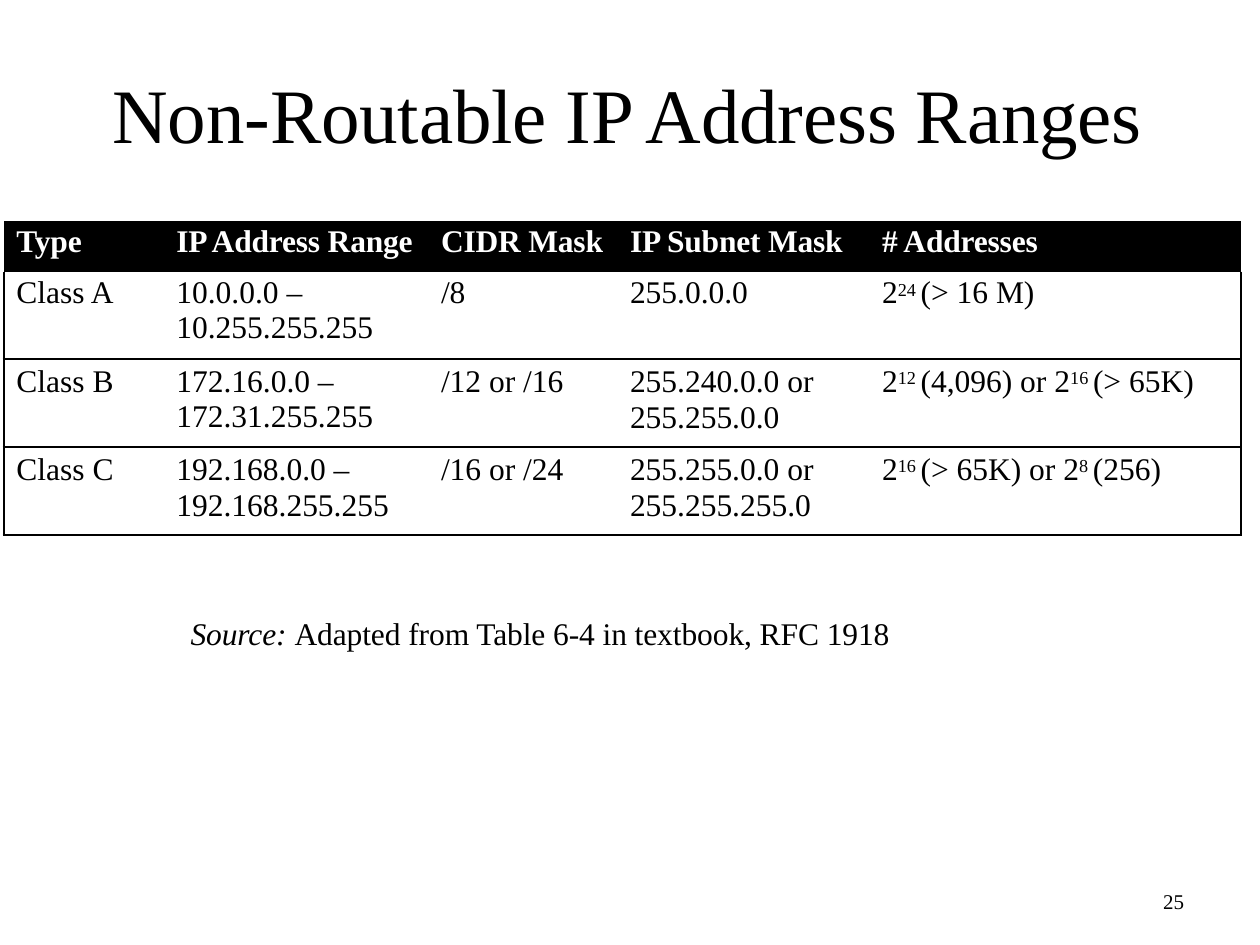
from dataclasses import dataclass

from lxml.etree import SubElement
from pptx import Presentation
from pptx.dml.color import RGBColor
from pptx.oxml.ns import qn
from pptx.util import Pt

INK = {"black": "000000", "white": "FFFFFF"}
FONT = "Times New Roman"
PLAIN = "{2D5ABB26-0587-4C30-8999-92F81FD0307C}"


@dataclass
class Label:
    text: str
    left: float
    top: float
    width: float
    height: float
    size: float
    track: int = 0


@dataclass
class Column:
    width: float
    indent: float


@dataclass
class Row:
    height: float
    pad: float
    lead: float
    cells: tuple[str, ...]


LABELS = (
    Label("Non-Routable IP Address Ranges", 63.4, 37.4, 593.3, 54.7, 44, -10),
    Label("25", 663.8, 506.9, 13.7, 16.6, 12),
    Label("_Source: |Adapted from Table 6-4 in textbook, RFC 1918",
          108, 349.9, 403.2, 23.8, 18, -5),
)
COLUMNS = (
    Column(80.6, 7.2),
    Column(162, 18),
    Column(108, 7.2),
    Column(140.4, 7.2),
    Column(216, 10.8),
)
ROWS = (
    Row(29.2, 2.2, 2.5, ("Type", "IP Address Range", "CIDR Mask",
                         "IP Subnet Mask", "# Addresses")),
    Row(50, 2.2, 2, ("Class A", "10.0.0.0 – 10.255.255.255", "/8",
                     "255.0.0.0", "2|^24 |(> 16 M)")),
    Row(50.3, 2.9, 2.5, ("Class B", "172.16.0.0 – 172.31.255.255",
                         "/12 or /16", "255.240.0.0 or\n255.255.0.0",
                         "2|^12 |(4,096) or 2|^16 |(> 65K)")),
    Row(50.3, 2.9, 2.5, ("Class C", "192.168.0.0 –\n192.168.255.255",
                         "/16 or /24", "255.255.0.0 or\n255.255.255.0",
                         "2|^16 |(> 65K) or 2|^8 |(256)")),
)


def write(frame, text: str, size: float, lead: float, color: str = "black",
          bold: bool = False, track: int = 0) -> None:
    for num, line in enumerate(text.split("\n")):
        para = frame.add_paragraph() if num else frame.paragraphs[0]
        para.space_before = Pt(0.5 if num else lead)
        for part in line.split("|"):
            run = para.add_run()
            run.text = part.lstrip("^_")
            font = run.font
            font.name = FONT
            font.size = Pt(size)
            font.bold = bold
            font.italic = part.startswith("_")
            font.color.rgb = RGBColor.from_string(INK[color])
            props = run._r.get_or_add_rPr()
            props.set("spc", str(track))
            if part.startswith("^"):
                props.set("baseline", "23000")


def border(cell, sides: str) -> None:
    props = cell._tc.get_or_add_tcPr()
    for side in sides:
        line = SubElement(props, qn(f"a:ln{side}"), w=str(Pt(1.5)))
        fill = SubElement(line, qn("a:solidFill"))
        SubElement(fill, qn("a:srgbClr"), val=INK["black"])


def draw_label(slide, item: Label) -> None:
    box = slide.shapes.add_textbox(Pt(item.left), Pt(item.top),
                                   Pt(item.width), Pt(item.height))
    frame = box.text_frame
    frame.word_wrap = True
    frame.margin_left = frame.margin_top = Pt(0.9)
    frame.margin_right = frame.margin_bottom = 0
    write(frame, item.text, item.size, 1, track=item.track)


def draw_cell(cell, text: str, row: Row, col: Column, head: bool) -> None:
    cell.margin_left = Pt(col.indent)
    cell.margin_right = cell.margin_bottom = 0
    cell.margin_top = Pt(row.pad)
    write(cell.text_frame, text, 18, row.lead,
          "white" if head else "black", head, -10 if head else 0)
    if head:
        cell.fill.solid()
        cell.fill.fore_color.rgb = RGBColor.from_string(INK["black"])
        return
    left = "L" if col is COLUMNS[0] else ""
    right = "R" if col is COLUMNS[-1] else ""
    top = "T" if row is not ROWS[1] else ""
    border(cell, left + right + top + "B")
    cell.fill.background()


def draw_table(slide) -> None:
    wide = sum(col.width for col in COLUMNS)
    high = sum(row.height for row in ROWS)
    table = slide.shapes.add_table(len(ROWS), len(COLUMNS), Pt(2.2), Pt(126),
                                   Pt(wide), Pt(high)).table
    table.horz_banding = False
    table._tbl.tblPr[0].text = PLAIN
    for num, col in enumerate(COLUMNS):
        table.columns[num].width = Pt(col.width)
    for down, row in enumerate(ROWS):
        table.rows[down].height = Pt(row.height)
        for over, (text, col) in enumerate(zip(row.cells, COLUMNS)):
            draw_cell(table.cell(down, over), text, row, col, down == 0)


def main() -> None:
    deck = Presentation()
    deck.slide_width, deck.slide_height = Pt(720), Pt(540)
    slide = deck.slides.add_slide(deck.slide_layouts[6])
    draw_table(slide)
    for item in LABELS:
        draw_label(slide, item)
    deck.save("out.pptx")


if __name__ == "__main__":
    main()
